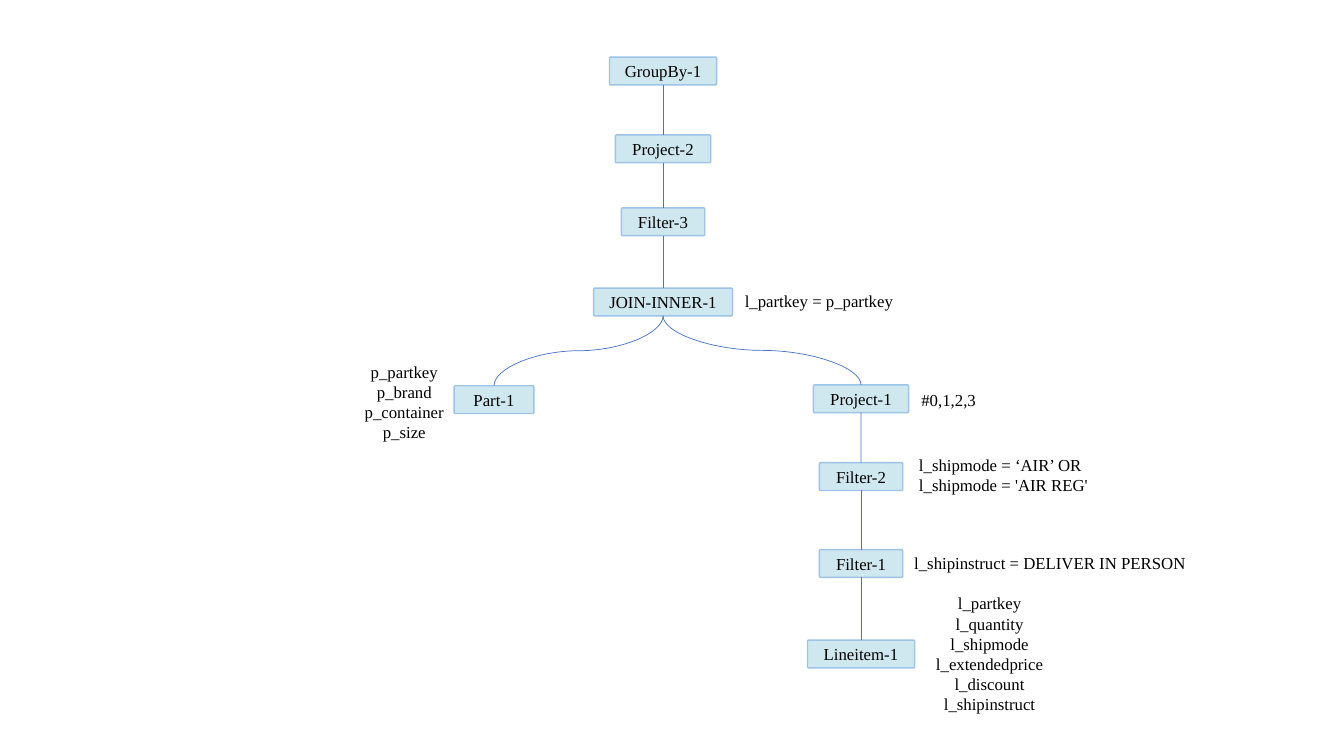
"""Draw a query plan tree with its operators, links and notes."""
from dataclasses import dataclass

from lxml.etree import SubElement
from pptx import Presentation
from pptx.dml.color import RGBColor
from pptx.enum.shapes import MSO_CONNECTOR, MSO_SHAPE
from pptx.enum.text import MSO_ANCHOR, MSO_AUTO_SIZE, PP_ALIGN
from pptx.oxml.ns import qn
from pptx.shapes.autoshape import Shape
from pptx.shapes.connector import Connector
from pptx.shapes.shapetree import SlideShapes
from pptx.text.text import TextFrame
from pptx.util import Cm, Pt


@dataclass(frozen=True)
class Theme:
    font: str = "Times New Roman"
    size: Pt = Pt(12)
    ink: RGBColor = RGBColor(0x00, 0x00, 0x00)
    operator_fill: RGBColor = RGBColor(0xCF, 0xE8, 0xEF)
    operator_edge: RGBColor = RGBColor(0x9D, 0xC3, 0xE6)
    operator_edge_width: Pt = Pt(1)
    link: RGBColor = RGBColor(0x44, 0x72, 0xC4)
    link_width: Pt = Pt(0.5)


@dataclass(frozen=True)
class Operator:
    name: str
    center: float
    top: float
    width: float
    parent: str = ""
    curved: bool = False


@dataclass(frozen=True)
class Note:
    lines: tuple[str, ...]
    left: float
    top: float
    width: float
    height: float
    align: PP_ALIGN = PP_ALIGN.LEFT


THEME = Theme()
OPERATOR_HEIGHT = 0.7
TRUNK, PART_BRANCH, LINEITEM_BRANCH = 16.71, 12.45, 21.7
TOP_SIDE, BOTTOM_SIDE = 0, 2

OPERATORS = (
    Operator("GroupBy-1", TRUNK, 1.44, 2.7),
    Operator("Project-2", TRUNK, 3.4, 2.4, "GroupBy-1"),
    Operator("Filter-3", TRUNK, 5.24, 2.1, "Project-2"),
    Operator("JOIN-INNER-1", TRUNK, 7.26, 3.5, "Filter-3"),
    Operator("Part-1", PART_BRANCH, 9.72, 2.01, "JOIN-INNER-1", curved=True),
    Operator("Project-1", LINEITEM_BRANCH, 9.7, 2.4, "JOIN-INNER-1", curved=True),
    Operator("Filter-2", LINEITEM_BRANCH, 11.66, 2.1, "Project-1"),
    Operator("Filter-1", LINEITEM_BRANCH, 13.85, 2.1, "Filter-2"),
    Operator("Lineitem-1", LINEITEM_BRANCH, 16.13, 2.7, "Filter-1"),
)

NOTES = (
    Note(("l_partkey = p_partkey",), 18.52, 7.2, 4.39, 0.77),
    Note(("p_partkey p_brand", "p_container", "p_size"), 8.89, 8.99, 2.6, 2.31, PP_ALIGN.CENTER),
    Note(("#0,1,2,3",), 22.97, 9.69, 2.41, 0.77),
    Note(("l_shipmode = ‘AIR’ OR", "l_shipmode = 'AIR REG'"), 22.91, 11.34, 5.3, 1.28),
    Note(("l_shipinstruct = DELIVER IN PERSON",), 22.79, 13.8, 7.52, 0.77),
    Note(("l_partkey", "l_quantity", "l_shipmode", "l_extendedprice", "l_discount",
          "l_shipinstruct"), 23.29, 14.82, 3.3, 3.33, PP_ALIGN.CENTER),
)


def write(frame: TextFrame, lines: tuple[str, ...], *, align: PP_ALIGN,
          anchor: MSO_ANCHOR = MSO_ANCHOR.TOP) -> None:
    frame.word_wrap = True
    frame.vertical_anchor = anchor
    for number, line in enumerate(lines):
        paragraph = frame.add_paragraph() if number else frame.paragraphs[0]
        paragraph.alignment = align
        run = paragraph.add_run()
        run.text = line
        run.font.name = THEME.font
        run.font.size = THEME.size
        run.font.color.rgb = THEME.ink


def draw_operator(shapes: SlideShapes, operator: Operator) -> Shape:
    box = shapes.add_shape(
        MSO_SHAPE.ROUNDED_RECTANGLE, Cm(operator.center - operator.width / 2),
        Cm(operator.top), Cm(operator.width), Cm(OPERATOR_HEIGHT))
    box.adjustments[0] = 0.04
    box.shadow.inherit = False
    box.fill.solid()
    box.fill.fore_color.rgb = THEME.operator_fill
    box.line.color.rgb = THEME.operator_edge
    box.line.width = THEME.operator_edge_width
    write(box.text_frame, (operator.name,), align=PP_ALIGN.CENTER, anchor=MSO_ANCHOR.MIDDLE)
    return box


def turn_downward(link: Connector) -> None:
    to_right = link.end_x > link.begin_x
    across, down = link.width, link.height
    middle_x, middle_y = link.left + across // 2, link.top + down // 2
    link.left, link.top = middle_x - down // 2, middle_y - across // 2
    link.width, link.height = down, across
    frame = link._element.spPr.find(qn("a:xfrm"))
    frame.set("rot", str((270 if to_right else 90) * 60000))
    frame.set("flipH", str(int(to_right)))


def draw_link(shapes: SlideShapes, parent: Shape, child: Shape, curved: bool) -> None:
    kind = MSO_CONNECTOR.CURVE if curved else MSO_CONNECTOR.STRAIGHT
    link = shapes.add_connector(kind, 0, 0, 0, 0)
    link.begin_connect(parent, BOTTOM_SIDE)
    link.end_connect(child, TOP_SIDE)
    link.line.color.rgb = THEME.link
    link.line.width = THEME.link_width
    SubElement(link._element.spPr, qn("a:effectLst"))
    if curved:
        turn_downward(link)


def draw_note(shapes: SlideShapes, note: Note) -> None:
    box = shapes.add_textbox(Cm(note.left), Cm(note.top), Cm(note.width), Cm(note.height))
    write(box.text_frame, note.lines, align=note.align)
    box.text_frame.auto_size = MSO_AUTO_SIZE.SHAPE_TO_FIT_TEXT


def main() -> None:
    deck = Presentation()
    deck.slide_width, deck.slide_height = Cm(33.87), Cm(19.05)
    shapes = deck.slides.add_slide(deck.slide_layouts.get_by_name("Blank")).shapes
    boxes = {operator.name: draw_operator(shapes, operator) for operator in OPERATORS}
    for operator in OPERATORS:
        if operator.parent:
            draw_link(shapes, boxes[operator.parent], boxes[operator.name], operator.curved)
    for note in NOTES:
        draw_note(shapes, note)
    deck.save("out.pptx")


if __name__ == "__main__":
    main()
